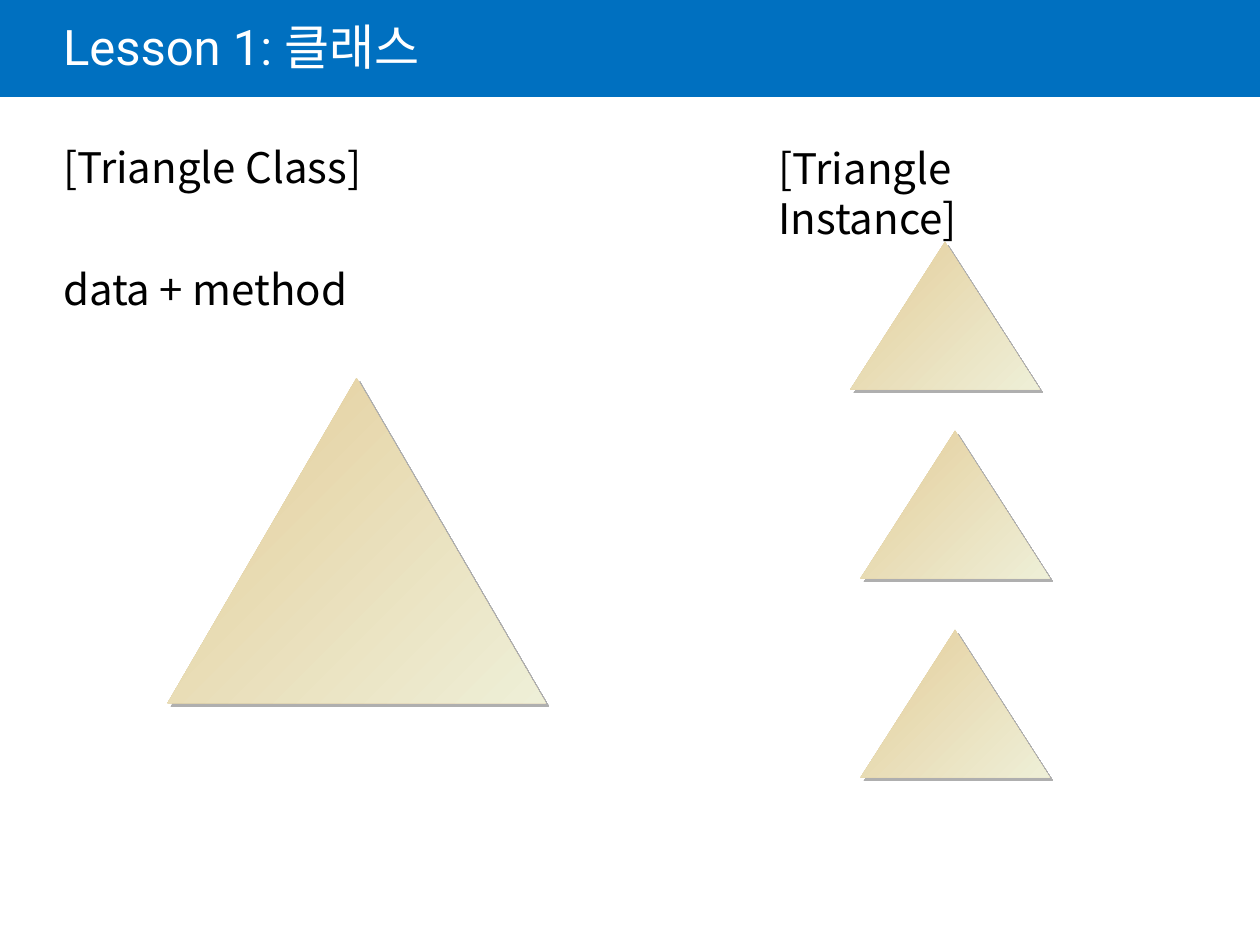
import pptx
import pptx.util
import pptx.dml.color
import pptx.enum.shapes
import pptx.enum.text
import pptx.oxml.ns
import lxml.etree

Inches = pptx.util.Inches
Pt = pptx.util.Pt

COLORS = {
    "bar": "0070C0",
    "title": "FFFFFF",
    "text": "000000",
    "sand": "E4CD9A",
    "cream": "EEEFD7",
    "shadow": "AFAFAF",
}
TITLE_FONT = "Roboto"
BODY_FONT = "Noto Sans CJK KR"


def rgb(name):
    return pptx.dml.color.RGBColor.from_string(COLORS[name])


def format_runs(p, size, font, color):
    for r in p.runs:
        r.font.size = Pt(size)
        r.font.name = font
        r.font.color.rgb = rgb(color)


def set_margins(tf, left, top, right, bottom):
    tf.margin_left, tf.margin_top = Inches(left), Inches(top)
    tf.margin_right, tf.margin_bottom = Inches(right), Inches(bottom)


def add_bar(s):
    bar = s.shapes.add_shape(pptx.enum.shapes.MSO_SHAPE.RECTANGLE,
                             0, 0, Inches(10), Inches(0.77))
    bar.shadow.inherit = False
    bar.fill.solid()
    bar.fill.fore_color.rgb = rgb("bar")
    bar.line.fill.background()
    # Place the bar behind the title
    s.shapes.title.element.addprevious(bar.element)


def set_title(s, text):
    title = s.shapes.title
    title.left, title.top = Inches(0.5), 0
    title.width, title.height = Inches(8.5), Inches(0.81)
    tf = title.text_frame
    tf.text = text
    tf.vertical_anchor = pptx.enum.text.MSO_ANCHOR.MIDDLE
    set_margins(tf, 0, 0.05, 0.1, 0.05)
    p = tf.paragraphs[0]
    p.alignment = pptx.enum.text.PP_ALIGN.LEFT
    p.line_spacing = 0.85
    format_runs(p, 28, TITLE_FONT, "title")


def add_text(s, text, left, top, width, height, gap=0):
    box = s.shapes.add_textbox(Inches(left), Inches(top), Inches(width), Inches(height))
    tf = box.text_frame
    tf.word_wrap = True
    tf.text = text
    for p in tf.paragraphs:
        format_runs(p, 24, BODY_FONT, "text")
    for p in tf.paragraphs[1:]:
        p.space_before = Pt(gap)
    return tf


def add_triangle(s, left, top, width, height):
    sp = s.shapes.add_shape(pptx.enum.shapes.MSO_SHAPE.ISOSCELES_TRIANGLE,
                            Inches(left), Inches(top), Inches(width), Inches(height))
    sp.line.fill.background()
    sp.fill.gradient()
    sp.fill.gradient_angle = 315
    for stop, position, color in zip(sp.fill.gradient_stops, (0, 1), ("sand", "cream")):
        stop.position = position
        stop.color.rgb = rgb(color)
    # Hard shadow to the lower right
    sp.shadow.inherit = False
    qn = pptx.oxml.ns.qn
    effects = sp.element.spPr.find(qn("a:effectLst"))
    shadow = lxml.etree.SubElement(effects, qn("a:outerShdw"), blurRad="0",
                                   dist=str(Pt(2.8)), dir="2700000",
                                   algn="ctr", rotWithShape="0")
    lxml.etree.SubElement(shadow, qn("a:srgbClr"), val=COLORS["shadow"])


def main():
    prs = pptx.Presentation()
    prs.slide_width, prs.slide_height = Inches(10), Inches(7.5)
    s = prs.slides.add_slide(prs.slide_layouts[5])

    # Header
    add_bar(s)
    set_title(s, "Lesson 1: 클래스")

    # Class on the left
    tf = add_text(s, "[Triangle Class]\ndata + method", 0.5, 1.12, 8.88, 5.63, gap=41)
    set_margins(tf, 0, 0, 0, 0)
    add_triangle(s, 1.33, 3, 3, 2.58)

    # Instances on the right
    for left, top in ((6.75, 1.92), (6.83, 3.42), (6.83, 5)):
        add_triangle(s, left, top, 1.5, 1.17)
    add_text(s, "[Triangle Instance]", 6.08, 1.08, 2.97, 0.5)

    prs.save("out.pptx")


if __name__ == "__main__":
    main()
